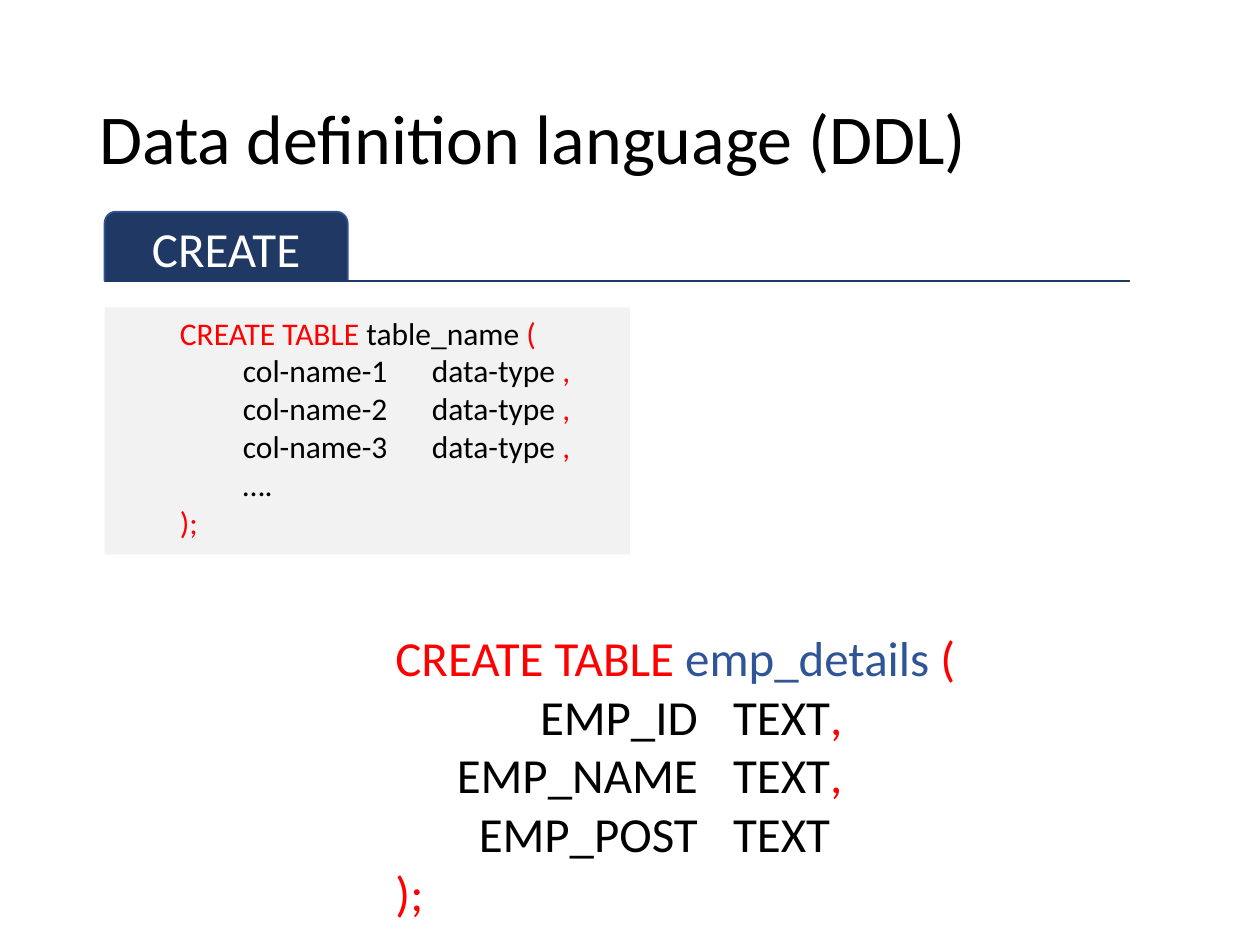
import pptx
import pptx.util
import pptx.dml.color
import pptx.enum.shapes
import pptx.enum.text
import pptx.oxml.ns
from dataclasses import dataclass
from lxml import etree
from pptx.util import Inches

RGB = pptx.dml.color.RGBColor.from_string
Anchor = pptx.enum.text.MSO_ANCHOR
Align = pptx.enum.text.PP_ALIGN
Shape = pptx.enum.shapes.MSO_SHAPE
qn = pptx.oxml.ns.qn


@dataclass(frozen=True)
class Theme:
    font: str = "Calibri"
    text: str = "000000"
    white: str = "FFFFFF"
    keyword: str = "FF0000"
    table_name: str = "2F5597"
    navy: str = "203864"
    tab_edge: str = "325491"
    panel: str = "F2F2F2"
    title_size: int = 40
    large: int = 28
    code: int = 18


THEME = Theme()


def set_font(para, size, color=None):
    para.font.name = THEME.font
    para.font.size = pptx.util.Pt(size)
    if color:
        para.font.color.rgb = RGB(color)


def add_tab_stops(para, stops):
    tab_list = etree.SubElement(para._p.get_or_add_pPr(), qn("a:tabLst"))
    for position, side in stops:
        etree.SubElement(tab_list, qn("a:tab"), pos=str(Inches(position)), algn=side)


def add_code(frame, lines, size, stops):
    """Write lines of (text, colour) spans, aligned on tab stops."""
    frame.word_wrap = True
    frame.vertical_anchor = Anchor.TOP
    for index, line in enumerate(lines):
        para = frame.paragraphs[0] if index == 0 else frame.add_paragraph()
        para.alignment = Align.LEFT
        add_tab_stops(para, stops)
        set_font(para, size)
        for text, color in line:
            span = para.add_run()
            span.text = text
            span.font.color.rgb = RGB(color)


def add_title(page, left, top, width, height):
    frame = page.shapes.add_textbox(left, top, width, height).text_frame
    frame.word_wrap = True
    frame.vertical_anchor = Anchor.MIDDLE
    para = frame.paragraphs[0]
    para.text = "Data definition language (DDL)"
    para.line_spacing = 0.9
    set_font(para, THEME.title_size, THEME.text)


def add_section_tab(page, left, top, width, height):
    tab_width = Inches(1.93)
    tab = page.shapes.add_shape(Shape.ROUND_2_SAME_RECTANGLE, left, top, tab_width, height)
    tab.shadow.inherit = False
    tab.fill.solid()
    tab.fill.fore_color.rgb = RGB(THEME.navy)
    tab.line.color.rgb = RGB(THEME.tab_edge)
    tab.line.width = pptx.util.Pt(1)
    tab.text_frame.vertical_anchor = Anchor.MIDDLE
    para = tab.text_frame.paragraphs[0]
    para.text = "CREATE"
    para.alignment = Align.CENTER
    set_font(para, THEME.large, THEME.white)

    # Rule along the foot of the tab
    bottom = top + height
    rule = page.shapes.add_connector(
        pptx.enum.shapes.MSO_CONNECTOR.STRAIGHT, left, bottom, left + width, bottom)
    rule.line.color.rgb = RGB(THEME.navy)
    rule.line.width = pptx.util.Pt(1.5)
    etree.SubElement(rule._element.spPr, qn("a:effectLst"))


def add_syntax_panel(page, left, top, width, height):
    panel = page.shapes.add_shape(Shape.RECTANGLE, left, top, width, height)
    panel.shadow.inherit = False
    panel.fill.solid()
    panel.fill.fore_color.rgb = RGB(THEME.panel)
    panel.line.fill.background()
    columns = [[(f"\t\tcol-name-{number}\tdata-type ", THEME.text), (",", THEME.keyword)]
               for number in range(1, 4)]
    lines = [
        [("\tCREATE TABLE ", THEME.keyword), ("table_name ", THEME.text), ("(", THEME.keyword)],
        *columns,
        [("\t\t….", THEME.text)],
        [("\t);", THEME.keyword)],
    ]
    add_code(panel.text_frame, lines, THEME.code, [(0.5, "l"), (1, "l"), (2.5, "l")])


def add_example(page, left, top, width, height):
    frame = page.shapes.add_textbox(left, top, width, height).text_frame
    fields = [("EMP_ID", ","), ("EMP_NAME", ","), ("EMP_POST", "")]
    lines = [[("CREATE TABLE ", THEME.keyword), ("emp_details ", THEME.table_name),
              ("(", THEME.keyword)]]
    for name, comma in fields:
        line = [(f"\t{name}\tTEXT", THEME.text)]
        if comma:
            line.append((comma, THEME.keyword))
        lines.append(line)
    lines.append([(");", THEME.keyword)])
    # Names end on the first stop, types start on the second
    add_code(frame, lines, THEME.large, [(2.4, "r"), (2.68, "l")])


def main():
    deck = pptx.Presentation()
    deck.slide_width, deck.slide_height = Inches(10), Inches(7.5)
    page = deck.slides.add_slide(deck.slide_layouts[6])
    add_title(page, Inches(0.69), Inches(0.4), Inches(8.62), Inches(1.45))
    add_section_tab(page, Inches(0.83), Inches(1.68), Inches(8.14), Inches(0.55))
    add_syntax_panel(page, Inches(0.83), Inches(2.44), Inches(4.17), Inches(1.96))
    add_example(page, Inches(3.04), Inches(4.93), Inches(5), Inches(2.46))
    deck.save("out.pptx")


if __name__ == "__main__":
    main()
